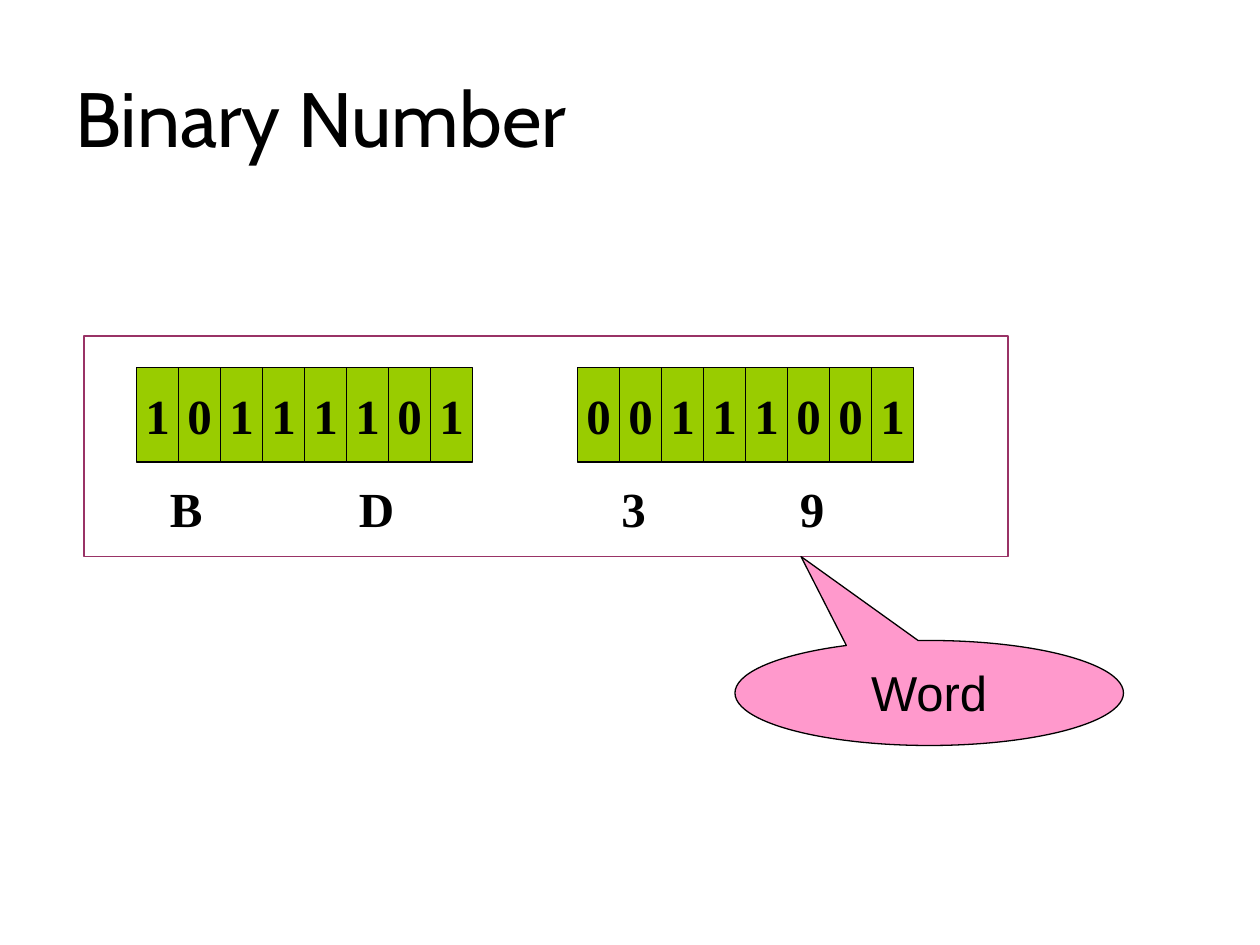
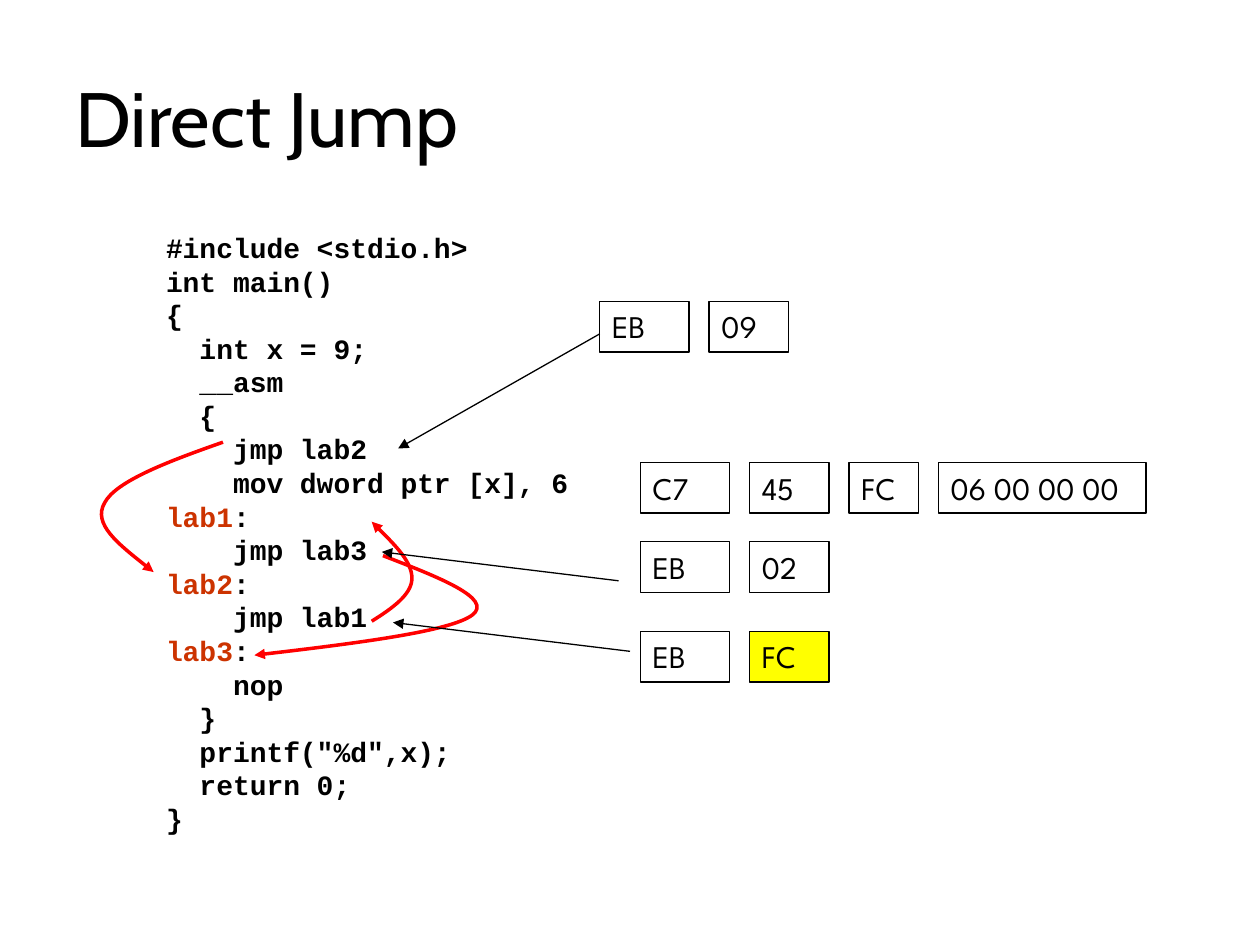
from lxml import etree
from pptx import Presentation
from pptx import util as u
from pptx.dml.color import RGBColor
from pptx.enum import shapes, text
from pptx.oxml.ns import qn

Pt = u.Pt
COLORS = {
    "ink": "000000", "bit": "99CC00", "frame": "993366", "callout": "FF99CC",
    "label": "CC3300", "jump": "FF0000", "highlight": "FFFF00",
}
TITLE = {"name": "Cabin", "size": Pt(44)}
DIGIT = {"name": "Times New Roman", "size": Pt(28), "bold": True}
CALLOUT = {"name": "Arial", "size": Pt(28)}
CODE = {"name": "Courier New", "size": Pt(16), "bold": True}
HEX = {"name": "League Spartan", "size": Pt(18)}
LINE_HEIGHT = 1.2

PROGRAM = """#include <stdio.h>
int main()
{
  int x = 9;
  __asm
  {
    jmp lab2
    mov dword ptr [x], 6
lab1:
    jmp lab3
lab2:
    jmp lab1
lab3:
    nop
  }
  printf("%d",x);
  return 0;
}"""

# Instruction bytes: left, top, values, highlighted value
BYTE_GAP = 11.4
BYTE_WIDTHS = [51.1, 45.4, 39.6, 118.8]
INSTRUCTIONS = [
    (342.7, 172.1, ["EB", "09"], None),
    (365.8, 264.2, ["C7", "45", "FC", "06 00 00 00"], None),
    (365.8, 309.6, ["EB", "02"], None),
    (365.8, 360.7, ["EB", "FC"], "FC"),
]
# Arrows from the bytes to their code line
POINTERS = [
    ((342.7, 190.8), (227.5, 256.3)),
    ((353.5, 331.9), (218.2, 315.4)),
    ((360, 372.2), (224.6, 355.7)),
]
# Jumps: start point, then three points for each Bezier curve
JUMPS = [
    [(212.4, 355), (223.9, 347.8), (235.4, 339.8), (235.4, 330.5),
     (235.4, 321.1), (223.9, 309.6), (212.4, 298.1)],
    [(218.9, 317.5), (250.6, 329.8), (282.2, 342), (270, 351.4),
     (257.8, 360.7), (201.6, 367.9), (145.4, 374.4)],
    [(127.4, 252.7), (96.5, 263.5), (66.2, 275), (59.8, 287.3),
     (52.6, 299.5), (70.6, 313.2), (87.8, 326.9)],
]


def rgb(color):
    return RGBColor.from_string(COLORS[color])


def write(sp, lines, style, align=text.PP_ALIGN.LEFT,
          anchor=text.MSO_ANCHOR.TOP, wrap=True):
    """Each line is a list of (words, color) runs."""
    tf = sp.text_frame
    tf.word_wrap = wrap
    tf.vertical_anchor = anchor
    for i, runs in enumerate(lines):
        p = tf.add_paragraph() if i else tf.paragraphs[0]
        p.alignment = align
        p.line_spacing = Pt(style["size"].pt * LINE_HEIGHT)
        for words, color in runs:
            r = p.add_run()
            r.text = words
            for key, value in style.items():
                setattr(r.font, key, value)
            r.font.color.rgb = rgb(color)


def add_text(s, box, lines, style, **layout):
    sp = s.shapes.add_textbox(*map(Pt, box))
    write(sp, lines, style, **layout)


def add_box(s, box, fill=None, line="ink", kind=shapes.MSO_SHAPE.RECTANGLE):
    sp = s.shapes.add_shape(kind, *map(Pt, box))
    sp.shadow.inherit = False
    if fill:
        sp.fill.solid()
        sp.fill.fore_color.rgb = rgb(fill)
    else:
        sp.fill.background()
    sp.line.color.rgb = rgb(line)
    sp.line.width = Pt(0.75)
    return sp


def style_arrow(sp, color, width):
    sp.line.color.rgb = rgb(color)
    sp.line.width = Pt(width)
    ln = sp.line._get_or_add_ln()
    etree.SubElement(ln, qn("a:tailEnd"), type="triangle")


def add_pointer(s, start, end):
    c = s.shapes.add_connector(shapes.MSO_CONNECTOR.STRAIGHT,
                               *map(Pt, start + end))
    style_arrow(c, "ink", 0.75)
    etree.SubElement(c._element.spPr, qn("a:effectLst"))


def add_jump(s, points):
    start, *rest = [(Pt(x), Pt(y)) for x, y in points]
    builder = s.shapes.build_freeform(*start)
    builder.add_line_segments(rest, close=False)
    sp = builder.convert_to_shape()
    sp.shadow.inherit = False
    sp.fill.background()
    style_arrow(sp, "jump", 2)
    # Join every three segments into one Bezier curve
    segments = list(sp._element.iter(qn("a:lnTo")))
    for i in range(0, len(segments), 3):
        curve = etree.Element(qn("a:cubicBezTo"))
        segments[i].addprevious(curve)
        for segment in segments[i:i + 3]:
            curve.append(segment[0])
            segment.getparent().remove(segment)


def add_byte(s, left, bits, digits):
    for i, bit in enumerate(bits):
        sp = add_box(s, (left + 24 * i, 210, 24, 54), "bit")
        write(sp, [[(bit, "ink")]], DIGIT, align=text.PP_ALIGN.CENTER,
              anchor=text.MSO_ANCHOR.MIDDLE, wrap=False)
    for digit, x in digits:
        add_text(s, (x, 270, 78, 41), [[(digit, "ink")]], DIGIT)


def add_instruction(s, left, top, values, highlighted):
    for value, width in zip(values, BYTE_WIDTHS):
        fill = "highlight" if value == highlighted else None
        sp = add_box(s, (left, top, width, 29), fill)
        write(sp, [[(value, "ink")]], HEX)
        left += width + BYTE_GAP


def code_runs(line):
    if line.startswith("lab"):
        return [(line[:-1], "label"), (":", "ink")]
    return [(line, "ink")]


def new_slide(prs, title):
    s = prs.slides.add_slide(prs.slide_layouts[6])
    add_text(s, (36, 21.6, 648, 90), [[(title, "ink")]], TITLE,
             anchor=text.MSO_ANCHOR.MIDDLE)
    return s


def binary_slide(prs):
    s = new_slide(prs, "Binary Number")
    add_box(s, (48, 192, 528, 126), line="frame")
    add_byte(s, 78, "10111101", [("B", 90), ("D", 198)])
    add_byte(s, 330, "00111001", [("3", 348), ("9", 450)])
    sp = add_box(s, (420, 366, 222, 60), "callout",
                 kind=shapes.MSO_SHAPE.OVAL_CALLOUT)
    sp.adjustments[0], sp.adjustments[1] = -0.33, -1.3
    write(sp, [[("Word", "ink")]], CALLOUT, align=text.PP_ALIGN.CENTER)


def jump_slide(prs):
    s = new_slide(prs, "Direct Jump")
    add_text(s, (87.8, 128.2, 516, 352.8),
             [code_runs(line) for line in PROGRAM.split("\n")], CODE)
    for instruction in INSTRUCTIONS:
        add_instruction(s, *instruction)
    for points in JUMPS:
        add_jump(s, points)
    for start, end in POINTERS:
        add_pointer(s, start, end)


def main():
    prs = Presentation()
    prs.slide_width, prs.slide_height = Pt(720), Pt(540)
    binary_slide(prs)
    jump_slide(prs)
    prs.save("out.pptx")


if __name__ == "__main__":
    main()
